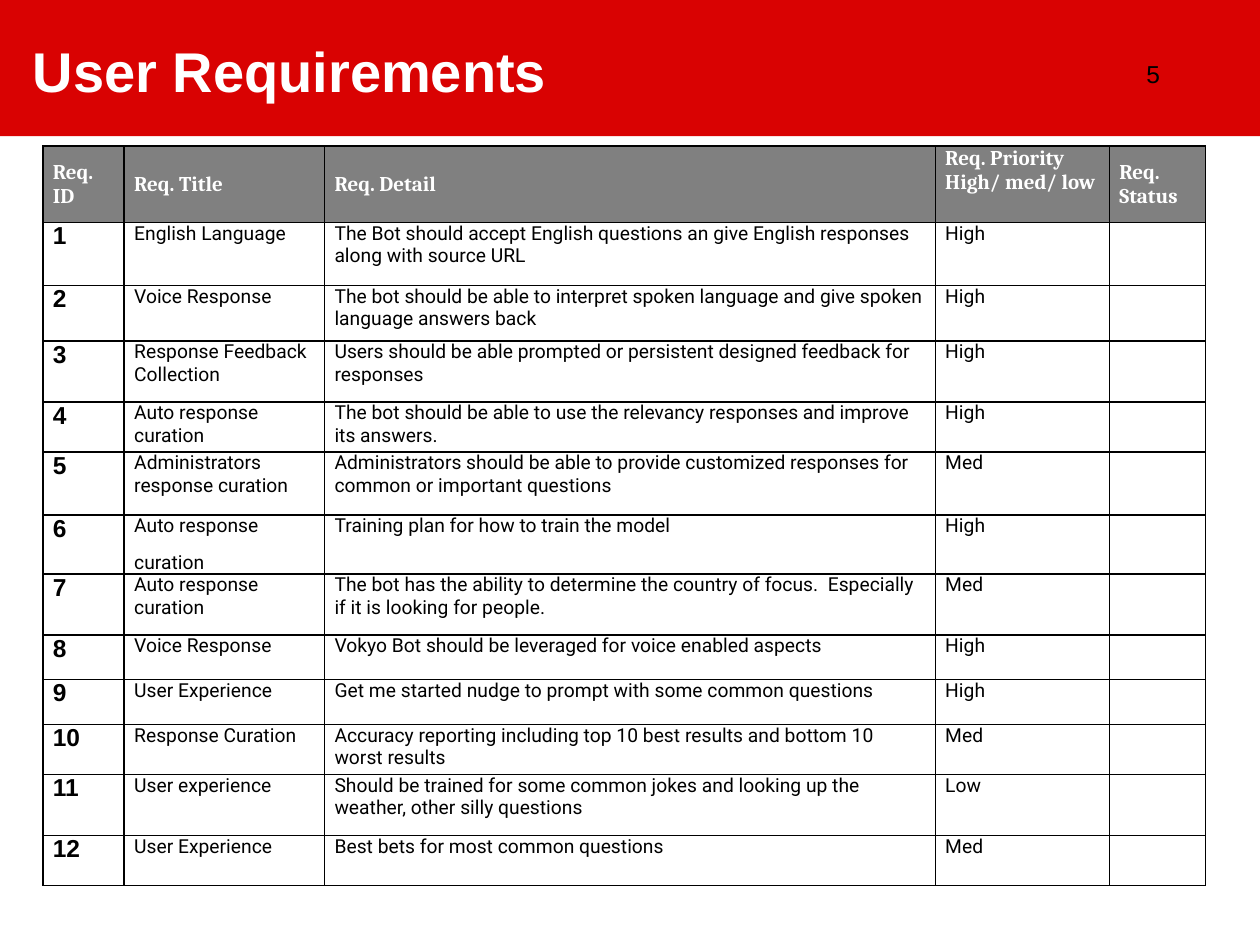
from dataclasses import dataclass

from lxml.etree import SubElement
from pptx import Presentation
from pptx.dml.color import RGBColor
from pptx.enum.shapes import MSO_SHAPE as Shape
from pptx.enum.text import MSO_ANCHOR as Anchor, MSO_AUTO_SIZE as AutoSize, PP_ALIGN as Align
from pptx.oxml.ns import qn
from pptx.util import Pt


@dataclass(frozen=True)
class Theme:
    red: str = "D90202"
    gray: str = "808080"
    white: str = "FFFFFF"
    black: str = "000000"
    sans: str = "Arial"
    serif: str = "Cambria"
    body: str = "Roboto"
    title_size: float = 32
    number_size: float = 14
    header_size: float = 12
    body_size: float = 11
    border: float = 1
    thin_border: float = 0.75


THEME = Theme()

COLUMN_WIDTHS = [46.5, 114.5, 349, 99.5, 55]
ROW_HEIGHTS = [43.7, 36, 31.7, 34.8, 28.6, 36, 33.4, 34.8, 25.7, 25.7, 28.6, 34.8, 28.6]
HEADERS = ["Req. ID", "Req. Title", "Req. Detail", "Req. Priority\nHigh/ med/ low", "Req. Status"]
# Title, detail and priority; the ID is the running number
REQUIREMENTS = [
    ("English Language",
     "The Bot should accept English questions an give English responses along with source URL", "High"),
    ("Voice Response",
     "The bot should be able to interpret spoken language and give spoken language answers back", "High"),
    ("Response Feedback Collection",
     "Users should be able prompted or persistent designed feedback for responses", "High"),
    ("Auto response curation",
     "The bot should be able to use the relevancy responses and improve its answers.", "High"),
    ("Administrators response curation",
     "Administrators should be able to provide customized responses for common or important questions",
     "Med"),
    ("Auto response\ncuration", "Training plan for how to train the model", "High"),
    ("Auto response curation",
     "The bot has the ability to determine the country of focus.  Especially if it is looking for people.",
     "Med"),
    ("Voice Response", "Vokyo Bot should be leveraged for voice enabled aspects", "High"),
    ("User Experience", "Get me started nudge to prompt with some common questions", "High"),
    ("Response Curation",
     "Accuracy reporting including top 10 best results and bottom 10 worst results", "Med"),
    ("User experience",
     "Should be trained for some common jokes and looking up the weather, other silly questions", "Low"),
    ("User Experience", "Best bets for most common questions", "Med"),
]


def write_text(text_frame, text, font_name, size, color, bold=False, spacing=0):
    text_frame.text = text
    for paragraph in text_frame.paragraphs:
        paragraph.alignment = Align.LEFT
        paragraph.space_before = paragraph.space_after = Pt(spacing)
        for run in paragraph.runs:
            run.font.name = font_name
            run.font.size = Pt(size)
            run.font.bold = bold
            run.font.color.rgb = RGBColor.from_string(color)


def set_margins(target, horizontal, vertical):
    target.margin_left = target.margin_right = Pt(horizontal)
    target.margin_top = target.margin_bottom = Pt(vertical)


def style_cell(cell, fill, side_width):
    set_margins(cell, 5.7, 0)
    # Borders come before the fill in the cell properties
    properties = cell._tc.get_or_add_tcPr()
    for edge, width in (("L", side_width), ("R", side_width), ("T", THEME.border), ("B", THEME.border)):
        line = SubElement(properties, qn(f"a:ln{edge}"), w=str(Pt(width)))
        solid = SubElement(line, qn("a:solidFill"))
        SubElement(solid, qn("a:srgbClr"), val=THEME.black)
    cell.fill.solid()
    cell.fill.fore_color.rgb = RGBColor.from_string(fill)


def add_banner(slide, left, top, width, height):
    # Red band
    band = slide.shapes.add_shape(Shape.RECTANGLE, Pt(left), Pt(top), Pt(width), Pt(height))
    band.shadow.inherit = False
    band.fill.solid()
    band.fill.fore_color.rgb = RGBColor.from_string(THEME.red)
    band.line.fill.background()

    # Slide number
    number = slide.shapes.add_textbox(Pt(left + width - 72), Pt(top + 24), Pt(48), Pt(36))
    frame = number.text_frame
    frame.word_wrap = True
    frame.vertical_anchor = Anchor.MIDDLE
    set_margins(frame, 7.2, 3.6)
    write_text(frame, "5", THEME.sans, THEME.number_size, THEME.black)

    # Title, brought in front of the band
    title = slide.shapes.title
    title.left, title.top = Pt(left + 11.5), Pt(top + 3)
    title.width, title.height = Pt(520.5), Pt(74)
    frame = title.text_frame
    frame.auto_size = AutoSize.NONE
    frame.vertical_anchor = Anchor.MIDDLE
    set_margins(frame, 7.2, 7.2)
    write_text(frame, "User Requirements", THEME.sans, THEME.title_size, THEME.white, bold=True)
    slide.shapes._spTree.append(title._element)


def add_requirements_table(slide, left, top):
    table = slide.shapes.add_table(
        len(ROW_HEIGHTS), len(COLUMN_WIDTHS), Pt(left), Pt(top),
        Pt(sum(COLUMN_WIDTHS)), Pt(sum(ROW_HEIGHTS))).table
    table.horz_banding = False
    for column, width in zip(table.columns, COLUMN_WIDTHS):
        column.width = Pt(width)
    for row, height in zip(table.rows, ROW_HEIGHTS):
        row.height = Pt(height)

    # Header row; the two-line priority heading sits at the top
    for index, heading in enumerate(HEADERS):
        cell = table.cell(0, index)
        style_cell(cell, THEME.gray, THEME.border)
        cell.vertical_anchor = Anchor.TOP if "\n" in heading else Anchor.MIDDLE
        write_text(cell.text_frame, heading, THEME.serif, THEME.header_size, THEME.white, bold=True)

    # Requirement rows; the status is left open
    for row_index, requirement in enumerate(REQUIREMENTS, start=1):
        for index, text in enumerate((str(row_index), *requirement, "")):
            cell = table.cell(row_index, index)
            style_cell(cell, THEME.white, THEME.thin_border if index in (1, 3) else THEME.border)
            is_id = index == 0
            if text:
                write_text(cell.text_frame, text,
                           THEME.sans if is_id else THEME.body,
                           THEME.number_size if is_id else THEME.body_size,
                           THEME.black, bold=is_id, spacing=4)


def main():
    presentation = Presentation()
    presentation.slide_width, presentation.slide_height = Pt(720), Pt(540)
    slide = presentation.slides.add_slide(presentation.slide_layouts[5])
    add_banner(slide, 0, 0, 720, 77.75)
    add_requirements_table(slide, 24.5, 83.5)
    presentation.save("out.pptx")


if __name__ == "__main__":
    main()
